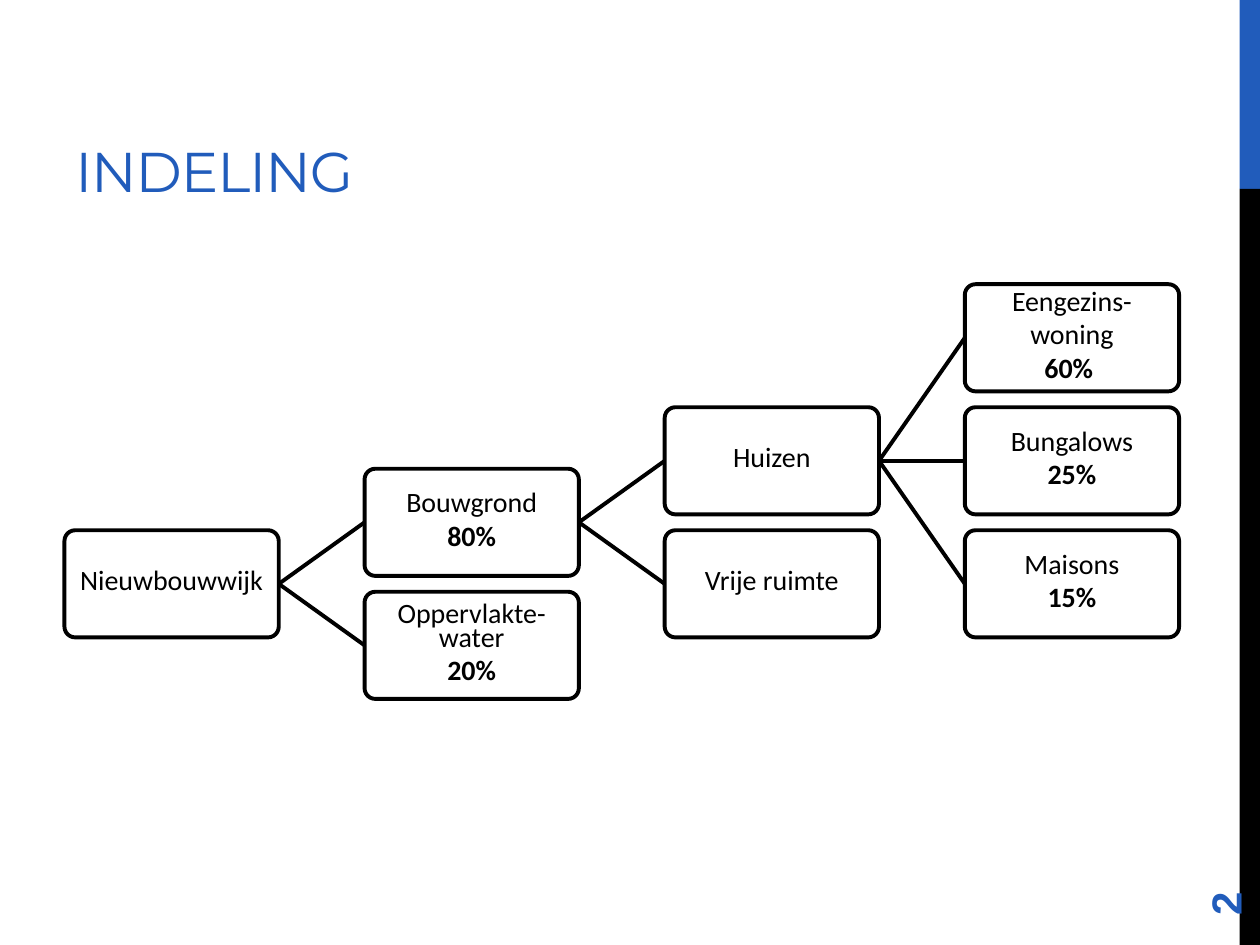
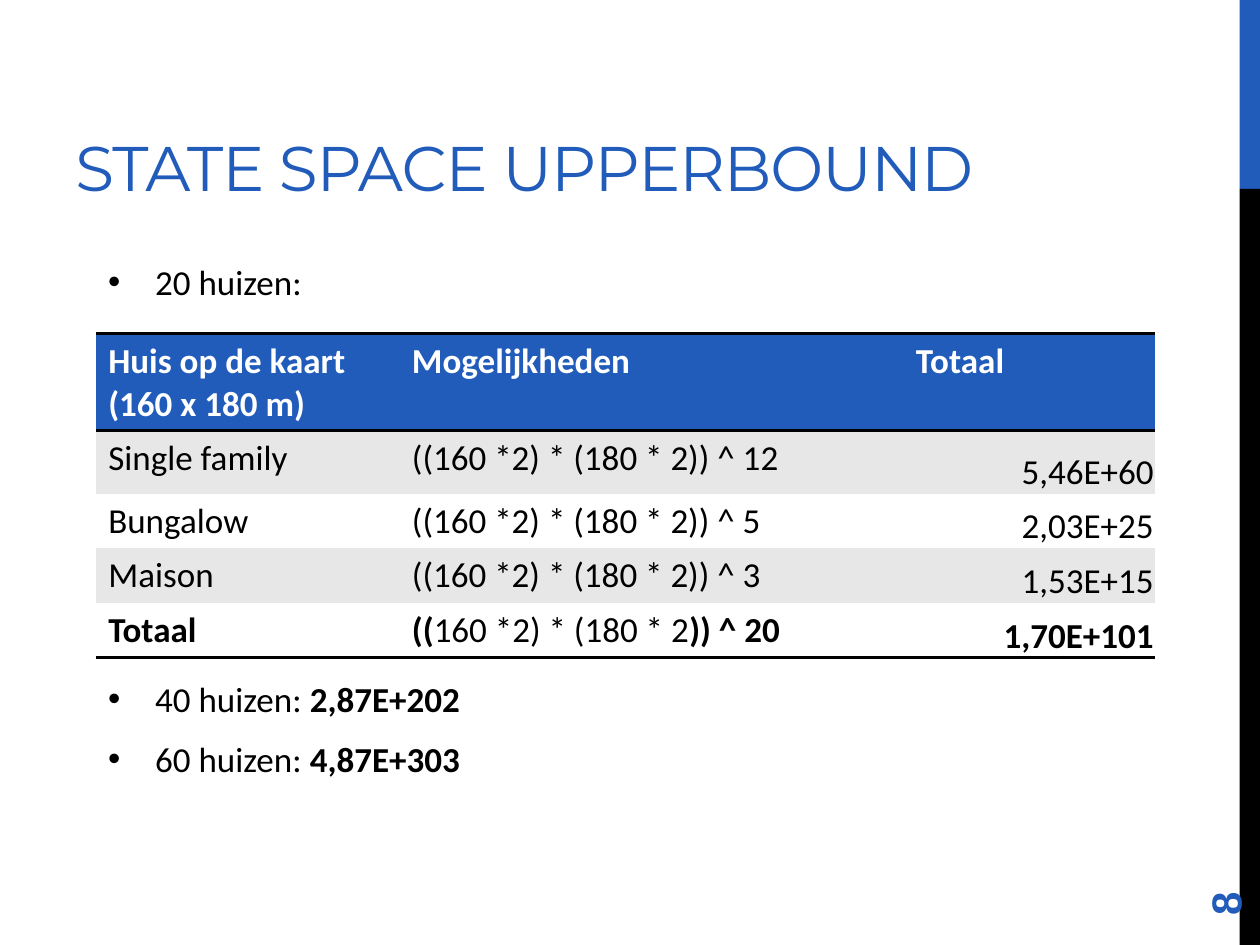
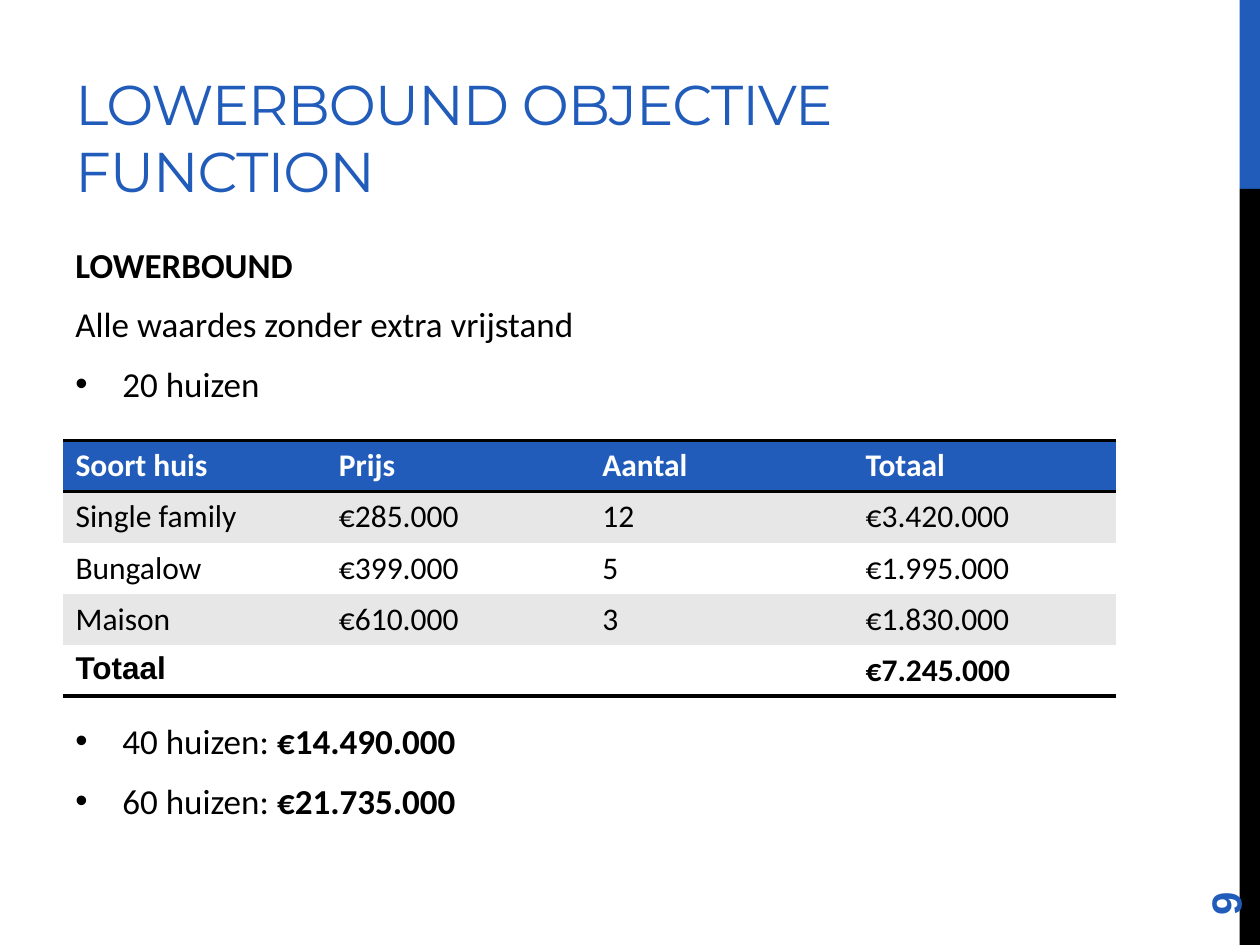
from dataclasses import dataclass
from itertools import accumulate
from typing import Iterable, NamedTuple

from lxml import etree
from pptx import Presentation
from pptx import util as u
from pptx.dml import color
from pptx.enum import shapes, text
from pptx.oxml import ns

BLUE = "215CBB"
BLACK = "000000"
WHITE = "FFFFFF"
GREY = "E7E7E7"
BODY_FONT = "Calibri"
TITLE_FONT = "Montserrat"
NUMBER_FONT = "Arial"
NO_TABLE_STYLE = "{2D5ABB26-0587-4C30-8999-92F81FD0307C}"

SLIDE_WIDTH = 25.4
SLIDE_HEIGHT = 19.05
BAND_LEFT = 24.99
BAND_SPLIT = 3.81

NODE_WIDTH = 4.32
NODE_HEIGHT = 2.16
TREE_LEFT = 1.3
TREE_TOP = 10.69
COLUMN_STEP = 6.05
ROW_STEP = 2.48
LEFT_SITE = 1
RIGHT_SITE = 3


class Box(NamedTuple):
    left: float
    top: float
    width: float
    height: float

    def lengths(self) -> list:
        return [u.Cm(value) for value in self]


class Span(NamedTuple):
    words: str
    bold: bool = False
    font: str = BODY_FONT


class Line(NamedTuple):
    spans: list[Span]
    bullet: bool = False


@dataclass
class Node:
    label: list[str]
    column: int
    row: float
    parent: str = ""
    share: str = ""


@dataclass
class Grid:
    left: float
    top: float
    columns: list[float]
    rows: list[float]
    size: int
    cells: list[list[list[Span]]]
    flush_column: int = -1


def rgb(value: str) -> color.RGBColor:
    return color.RGBColor.from_string(value)


def add_run(paragraph, span: Span, size: float, ink: str = BLACK):
    run = paragraph.add_run()
    run.text = span.words
    run.font.name = span.font
    run.font.size = u.Pt(size)
    run.font.bold = span.bold
    run.font.color.rgb = rgb(ink)
    return run


def paragraphs_of(frame, count: int) -> list:
    return [frame.paragraphs[0]] + [frame.add_paragraph() for _ in range(count - 1)]


def add_text_box(slide, box: Box, anchor=text.MSO_ANCHOR.TOP):
    shape = slide.shapes.add_textbox(*box.lengths())
    shape.text_frame.word_wrap = True
    shape.text_frame.vertical_anchor = anchor
    return shape


def add_band(slide, top: float, bottom: float, fill: str) -> None:
    box = Box(BAND_LEFT, top, SLIDE_WIDTH - BAND_LEFT, bottom - top)
    band = slide.shapes.add_shape(shapes.MSO_SHAPE.RECTANGLE, *box.lengths())
    band.shadow.inherit = False
    band.fill.solid()
    band.fill.fore_color.rgb = rgb(fill)
    band.line.fill.background()


def add_base_slide(presentation, title: str, number: str, size: int = 32, width: float = 16.08):
    slide = presentation.slides.add_slide(presentation.slide_layouts[6])
    add_band(slide, 0, BAND_SPLIT, BLUE)
    add_band(slide, BAND_SPLIT, SLIDE_HEIGHT, BLACK)
    heading = add_text_box(slide, Box(1.27, 0.43, width, 3.81), text.MSO_ANCHOR.BOTTOM)
    run = add_run(heading.text_frame.paragraphs[0], Span(title, font=TITLE_FONT), size, BLUE)
    run.font._element.set("spc", "-60")
    page = add_text_box(slide, Box(22.86, 16.36, 3.66, 1.02), text.MSO_ANCHOR.MIDDLE)
    page.rotation = 270
    add_run(page.text_frame.paragraphs[0], Span(number, True, NUMBER_FONT), 24, BLUE)
    return slide


def add_node(slide, node: Node):
    box = Box(TREE_LEFT + node.column * COLUMN_STEP, TREE_TOP + node.row * ROW_STEP,
              NODE_WIDTH, NODE_HEIGHT)
    shape = slide.shapes.add_shape(shapes.MSO_SHAPE.ROUNDED_RECTANGLE, *box.lengths())
    shape.adjustments[0] = 0.1
    shape.shadow.inherit = False
    shape.fill.solid()
    shape.fill.fore_color.rgb = rgb(WHITE)
    shape.line.color.rgb = rgb(BLACK)
    shape.line.width = u.Pt(2.25)
    frame = shape.text_frame
    frame.word_wrap = True
    frame.vertical_anchor = text.MSO_ANCHOR.MIDDLE
    frame.margin_left = frame.margin_right = u.Cm(0.03)
    frame.margin_top = frame.margin_bottom = u.Cm(0.03)
    spans = [Span(words) for words in node.label]
    if node.share:
        spans.append(Span(node.share, True))
    for paragraph, span in zip(paragraphs_of(frame, len(spans)), spans):
        paragraph.alignment = text.PP_ALIGN.CENTER
        paragraph.line_spacing = 0.7
        paragraph.space_after = u.Pt(5.6)
        add_run(paragraph, span, 16)
    return shape


def add_branch(slide, parent, child) -> None:
    branch = slide.shapes.add_connector(shapes.MSO_CONNECTOR.STRAIGHT, 0, 0, 0, 0)
    branch.begin_connect(parent, RIGHT_SITE)
    branch.end_connect(child, LEFT_SITE)
    branch.line.color.rgb = rgb(BLACK)
    branch.line.width = u.Pt(2.25)
    etree.SubElement(branch._element.spPr, ns.qn("a:effectLst"))


def add_tree(slide, nodes: Iterable[Node]) -> None:
    drawn = {}
    for node in nodes:
        shape = add_node(slide, node)
        drawn[node.label[0]] = shape
        if node.parent:
            add_branch(slide, drawn[node.parent], shape)


def add_lines(slide, box: Box, lines: list[Line]) -> None:
    frame = add_text_box(slide, box).text_frame
    for paragraph, line in zip(paragraphs_of(frame, len(lines)), lines):
        paragraph.space_before = u.Pt(4)
        paragraph.space_after = u.Pt(6)
        if line.bullet:
            properties = paragraph._p.get_or_add_pPr()
            properties.set("marL", str(u.Cm(0.95)))
            properties.set("indent", str(-u.Cm(0.95)))
            etree.SubElement(properties, ns.qn("a:buFont"), typeface=NUMBER_FONT)
            etree.SubElement(properties, ns.qn("a:buChar"), char="•")
        for span in line.spans:
            add_run(paragraph, span, 20)


def add_cell_rules(cell, sides: list[str]) -> None:
    properties = cell._tc.get_or_add_tcPr()
    for position, side in enumerate(sides):
        rule = etree.Element(ns.qn(f"a:{side}"), w=str(u.Pt(2)))
        fill = etree.SubElement(rule, ns.qn("a:solidFill"))
        etree.SubElement(fill, ns.qn("a:srgbClr"), val=BLACK)
        properties.insert(position, rule)


def fill_cell(cell, spans: list[Span], size: int, fill: str, ink: str) -> None:
    cell.fill.solid()
    cell.fill.fore_color.rgb = rgb(fill)
    lines = [[]]
    for span in spans:
        first, *others = span.words.split("\n")
        lines[-1].append(span._replace(words=first))
        lines.extend([span._replace(words=words)] for words in others)
    for paragraph, line in zip(paragraphs_of(cell.text_frame, len(lines)), lines):
        paragraph.font.size = u.Pt(size)
        for span in line:
            add_run(paragraph, span, size, ink)


def add_grid(slide, grid: Grid) -> None:
    box = Box(grid.left, grid.top, sum(grid.columns), sum(grid.rows))
    table = slide.shapes.add_table(len(grid.rows), len(grid.columns), *box.lengths()).table
    table.first_row = table.horz_banding = False
    table._tbl.tblPr.find(ns.qn("a:tableStyleId")).text = NO_TABLE_STYLE
    for column, width in zip(table.columns, grid.columns):
        column.width = u.Cm(width)
    for row, height in zip(table.rows, grid.rows):
        row.height = u.Cm(height)
    last = len(grid.rows) - 1
    for row, contents in enumerate(grid.cells):
        fill = BLUE if row == 0 else GREY if row % 2 else WHITE
        for column, spans in enumerate(contents):
            cell = table.cell(row, column)
            fill_cell(cell, spans, grid.size, fill, WHITE if row == 0 else BLACK)
            if row == 0:
                add_cell_rules(cell, ["lnT", "lnB"])
            elif row == last:
                add_cell_rules(cell, ["lnB"])
            if row and column == grid.flush_column:
                cell.vertical_anchor = text.MSO_ANCHOR.BOTTOM
                cell.margin_left = cell.margin_right = cell.margin_top = u.Cm(0.03)
                cell.margin_bottom = 0
                cell.text_frame.paragraphs[0].alignment = text.PP_ALIGN.RIGHT


def plain_row(*words: str) -> list[list[Span]]:
    return [[Span(word)] for word in words]


def bold_row(*words: str) -> list[list[Span]]:
    return [[Span(word, True)] for word in words]


def total_line(houses: int, total: str) -> Line:
    return Line([Span(f"{houses} huizen: "), Span(total, True)], True)


def add_layout_slide(presentation) -> None:
    slide = add_base_slide(presentation, "INDELING", "2")
    add_tree(slide, [
        Node(["Nieuwbouwwijk"], 0, 0),
        Node(["Bouwgrond"], 1, -0.5, "Nieuwbouwwijk", "80%"),
        Node(["Oppervlakte-water"], 1, 0.5, "Nieuwbouwwijk", "20%"),
        Node(["Huizen"], 2, -1, "Bouwgrond"),
        Node(["Vrije ruimte"], 2, 0, "Bouwgrond"),
        Node(["Eengezins-", "woning"], 3, -2, "Huizen", "60% "),
        Node(["Bungalows"], 3, -1, "Huizen", "25%"),
        Node(["Maisons"], 3, 0, "Huizen", "15%"),
    ])


def add_upperbound_slide(presentation) -> None:
    slide = add_base_slide(presentation, "STATE SPACE UPPERBOUND", "8", 36, 20.07)
    add_lines(slide, Box(1.93, 5.13, 21.16, 1.3), [Line([Span("20 huizen:")], True)])
    houses = [("Single family", 12, "5,46E+60"), ("Bungalow", 5, "2,03E+25"),
              ("Maison", 3, "1,53E+15")]
    base = "160 *2) * (180 * 2"
    add_grid(slide, Grid(1.93, 6.73, [6.12, 10.16, 5.08], [1.9, 1.27, 1.07, 1.07, 1.07], 20, [
        bold_row("Huis op de kaart\n(160 x 180 m)", "Mogelijkheden", "Totaal"),
        *(plain_row(name, f"(({base})) ^ {count}", total) for name, count, total in houses),
        [[Span("Totaal", True)],
         [Span("((", True), Span(base), Span(")) ^ 20", True)],
         [Span("1,70E+101", True)]],
    ], flush_column=2))
    add_lines(slide, Box(1.93, 13.54, 21.16, 2.7),
              [total_line(40, "2,87E+202"), total_line(60, "4,87E+303")])


def add_lowerbound_slide(presentation) -> None:
    slide = add_base_slide(presentation, "LOWERBOUND OBJECTIVE FUNCTION", "9")
    add_lines(slide, Box(1.27, 4.78, 21.16, 3.9), [
        Line([Span("LOWERBOUND", True)]),
        Line([Span("Alle waardes zonder extra vrijstand")]),
        Line([Span("20 huizen")], True),
    ])
    add_grid(slide, Grid(1.27, 8.88, [5.31] * 4, [1.03] * 5, 18, [
        bold_row("Soort huis", "Prijs", "Aantal", "Totaal"),
        plain_row("Single family", "€285.000", "12", "€3.420.000"),
        plain_row("Bungalow", "€399.000", "5", "€1.995.000"),
        plain_row("Maison", "€610.000", "3", "€1.830.000"),
        [[Span("Totaal", True, NUMBER_FONT)], [], [], [Span("€7.245.000", True)]],
    ]))
    add_lines(slide, Box(1.27, 14.38, 21.16, 2.7),
              [total_line(40, "€14.490.000"), total_line(60, "€21.735.000")])


def main() -> None:
    presentation = Presentation()
    presentation.slide_width = u.Cm(SLIDE_WIDTH)
    presentation.slide_height = u.Cm(SLIDE_HEIGHT)
    add_layout_slide(presentation)
    add_upperbound_slide(presentation)
    add_lowerbound_slide(presentation)
    presentation.save("out.pptx")


if __name__ == "__main__":
    main()
